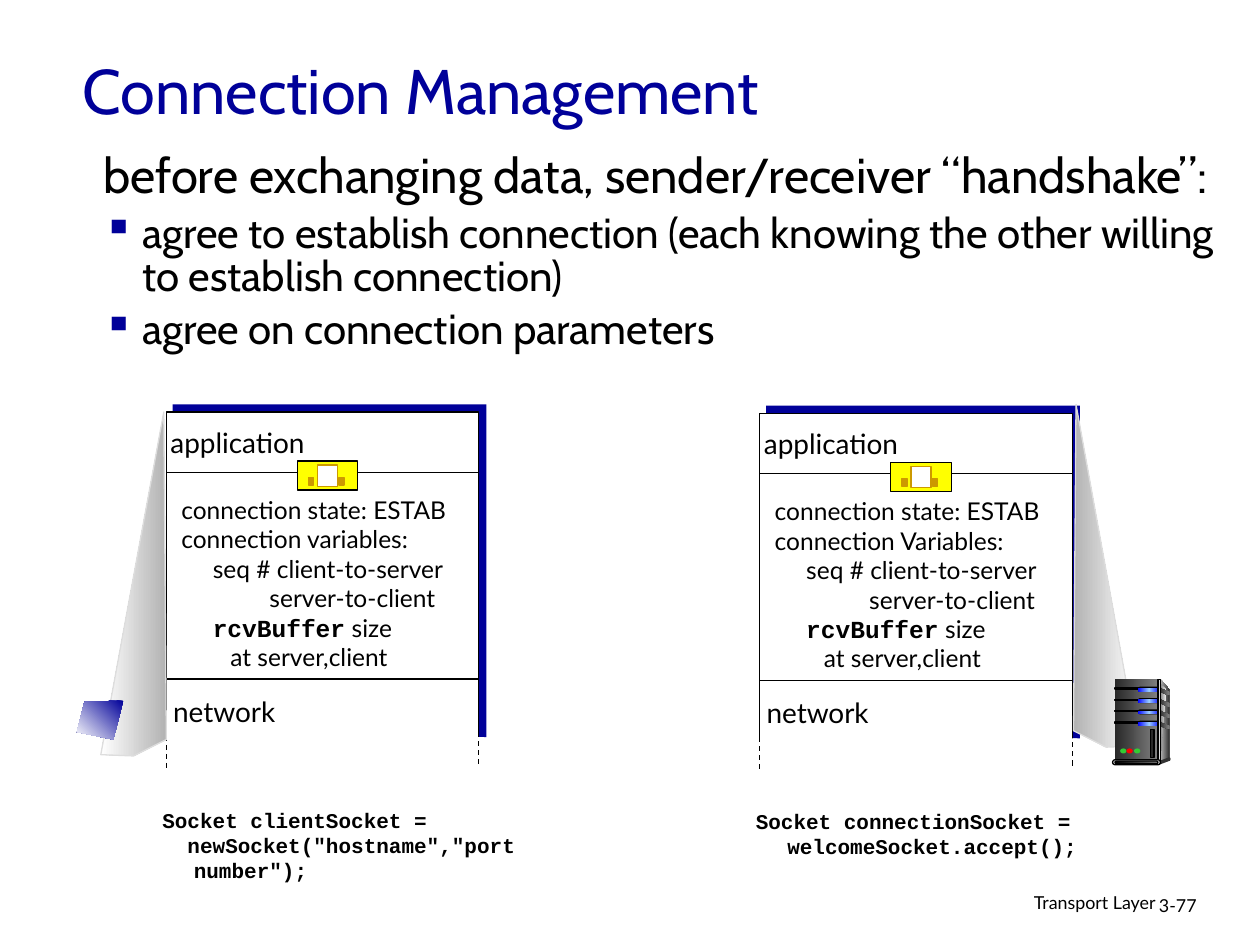
"""Build the Connection Management slide: two hosts holding shared connection state."""
from dataclasses import dataclass

from lxml.etree import SubElement
from pptx import Presentation
from pptx.dml.color import RGBColor
from pptx.enum.dml import MSO_LINE
from pptx.enum.shapes import MSO_CONNECTOR, MSO_SHAPE as Kind
from pptx.enum.text import MSO_ANCHOR as Anchor, PP_ALIGN as Align
from pptx.oxml.ns import qn
from pptx.util import Inches, Pt


@dataclass(frozen=True)
class Theme:
    navy: str = "000099"
    black: str = "000000"
    white: str = "FFFFFF"
    yellow: str = "FFFF00"
    gold: str = "CC9900"
    silver: str = "DDDDDD"
    dark: str = "333333"
    green: str = "33CC33"
    red: str = "FF0000"
    cone: tuple = ("B2B2B2", "FFFFFF")
    screen: tuple = ("000099", "FFFFFF")
    steel: tuple = ("292929", "808080")
    flank: tuple = ("DDDDDD", "333333")
    sheen: tuple = ("808080", "F8F8F8")
    spine: tuple = ("333333", "DDDDDD", "333333")
    glow: tuple = ("0000FF", "99CCFF", "0000FF")
    base: tuple = ("000000", "808080")
    heading: str = "Cabin"
    label: str = "Lato"
    code: str = "Courier New"
    title_size: float = 36
    lead_size: float = 28
    bullet_size: float = 24
    label_size: float = 16
    state_size: float = 14
    code_size: float = 12
    footer_size: float = 10.2
    hairline: float = 0.75


THEME = Theme()
TITLE = "Connection Management"
LEAD = "before exchanging data, sender/receiver “handshake”:"
BULLETS = [
    "agree to establish connection (each knowing the other willing to establish connection)",
    "agree on connection parameters",
]
FOOTER = [((6.1, 7.05, 3.17, 0.31), "Transport Layer", Align.RIGHT),
          ((9.1, 7.07, 0.74, 0.3), "3-77", Align.LEFT)]
HOSTS = [
    dict(origin=(1.32, 3.27), variables="connection variables:", reply_indent=0.7,
         cone=[(0.8, 5.99), (1.3, 3.27), (1.32, 5.87), (1.06, 6)], cone_angle=180,
         code=["Socket clientSocket =", '  newSocket("hostname","port number");']),
    dict(origin=(6.03, 3.28), variables="connection Variables:", reply_indent=0.75,
         cone=[(9.03, 5.92), (8.54, 3.21), (8.52, 5.8), (8.78, 5.93)], cone_angle=0,
         code=["Socket connectionSocket = welcomeSocket.accept();"]),
]
SCREEN = [(0.98, 5.56), (0.67, 5.57), (0.61, 5.81), (0.9, 5.87)]
DOOR = [((1.04, 0.39, 0.48, 0.23), THEME.yellow, THEME.black),
        ((1.2, 0.42, 0.16, 0.17), THEME.white, THEME.gold),
        ((1.37, 0.52, 0.04, 0.06), THEME.gold, THEME.gold),
        ((1.13, 0.52, 0.04, 0.06), THEME.gold, THEME.gold)]
SLOT_TOP, SLOT_STEP, SLOT_COUNT = 5.46, 0.09, 4
SERVER_SIDE = [([(9.21, 5.39), (9.28, 5.47), (9.28, 6.01), (9.19, 6.04)], THEME.flank),
               ([(9.21, 5.43), (9.26, 5.48), (9.23, 5.75), (9.21, 6.02)], THEME.sheen),
               ([(9.2, 6.04), (9.2, 6.07), (9.28, 6.04), (9.28, 6.01)], THEME.dark)]
SERVER_PARTS = [
    (Kind.RECTANGLE, (9.19, 5.39, 0.02, 0.65), THEME.spine, THEME.black),
    (Kind.OVAL, (9.27, 6.01, 0.02, 0.03), THEME.dark, None),
    (Kind.ROUNDED_RECTANGLE, (8.83, 6.03, 0.38, 0.04), THEME.silver, THEME.black),
    (Kind.ROUNDED_RECTANGLE, (8.85, 6.04, 0.34, 0.02), THEME.base, THEME.black),
    (Kind.OVAL, (8.89, 5.94, 0.05, 0.04), THEME.green, None),
    (Kind.OVAL, (8.94, 5.94, 0.05, 0.04), THEME.red, None),
    (Kind.OVAL, (9, 5.94, 0.05, 0.04), THEME.green, None),
    (Kind.RECTANGLE, (9.13, 5.79, 0.03, 0.22), THEME.steel[0], THEME.black),
]


def style(shape, paint, outline=None, angle=0):
    shape.shadow.inherit = False
    if isinstance(paint, tuple):
        shape.fill.gradient()
        shape.fill.gradient_angle = (360 - angle) % 360
        stops = shape._element.spPr.find(".//" + qn("a:gsLst"))
        for stop in list(stops):
            stops.remove(stop)
        for index, color in enumerate(paint):
            stop = SubElement(stops, qn("a:gs"), pos=str(100000 * index // (len(paint) - 1)))
            SubElement(stop, qn("a:srgbClr"), val=color)
    else:
        shape.fill.solid()
        shape.fill.fore_color.rgb = RGBColor.from_string(paint)
    if outline:
        shape.line.color.rgb = RGBColor.from_string(outline)
        shape.line.width = Pt(THEME.hairline)
    else:
        shape.line.fill.background()


def add_shape(shapes, kind, place, paint, outline=None):
    shape = shapes.add_shape(kind, *map(Inches, place))
    if kind == Kind.ROUNDED_RECTANGLE:
        shape.adjustments[0] = 0.5
    style(shape, paint, outline)


def add_outline(shapes, points, paint, outline=None, angle=0):
    start, *rest = [(Inches(x), Inches(y)) for x, y in points]
    builder = shapes.build_freeform(*start)
    builder.add_line_segments(rest, close=True)
    style(builder.convert_to_shape(), paint, outline, angle)


def add_line(shapes, start, end, dashed=False):
    line = shapes.add_connector(MSO_CONNECTOR.STRAIGHT, *map(Inches, start + end))
    line.line.color.rgb = RGBColor.from_string(THEME.black)
    line.line.width = Pt(THEME.hairline)
    if dashed:
        line.line.dash_style = MSO_LINE.DASH
    SubElement(line._element.spPr, qn("a:effectLst"))


def add_text(shapes, place, wrap=True, anchor=Anchor.TOP):
    frame = shapes.add_textbox(*map(Inches, place)).text_frame
    frame.word_wrap = wrap
    frame.vertical_anchor = anchor
    return frame


def set_font(font, face, size, color=THEME.black, bold=False):
    font.name, font.size, font.bold = face, Pt(size), bold
    font.color.rgb = RGBColor.from_string(color)


def add_para(frame, text, face, size, color=THEME.black, bold=False,
             align=Align.LEFT, margin=0, hanging=0, bullet=None):
    para = frame.paragraphs[0]
    if para.runs:
        para = frame.add_paragraph()
    para.alignment = align
    properties = para._p.get_or_add_pPr()
    properties.set("marL", str(Inches(margin)))
    properties.set("indent", str(-Inches(hanging)))
    if bullet:
        SubElement(SubElement(properties, qn("a:buClr")), qn("a:srgbClr"), val=THEME.navy)
        SubElement(properties, qn("a:buChar"), char=bullet)
    para.add_run().text = text
    set_font(para.font, face, size, color, bold)
    return para


def add_host(page, host):
    shapes, (left, top) = page.shapes, host["origin"]
    right = left + 2.48
    add_shape(shapes, Kind.RECTANGLE, (left + 0.05, top - 0.06, 2.49, 2.64), THEME.navy)
    add_shape(shapes, Kind.RECTANGLE, (left, top, 2.48, 2.7), THEME.white, THEME.black)
    for drop in (0.48, 2.12):
        add_line(shapes, (left, top + drop), (right, top + drop))
    state = add_text(shapes, (left + 0.02, top + 0.61, 2.55, 1.74))
    for text, margin in [("connection state: ESTAB", 0), (host["variables"], 0),
                         ("seq # client-to-server", 0.25),
                         ("server-to-client", host["reply_indent"]),
                         ("rcvBuffer", 0.25), ("at server,client", 0.39)]:
        para = add_para(state, text, THEME.label, THEME.state_size, margin=margin)
        if text == "rcvBuffer":
            set_font(para.runs[0].font, THEME.code, THEME.state_size, bold=True)
            span = para.add_run()
            span.text = " size"
            set_font(span.font, THEME.label, THEME.state_size)
    door = shapes.add_group_shape().shapes
    for (x, y, width, height), paint, outline in DOOR:
        add_shape(door, Kind.RECTANGLE, (left + x, top + y, width, height), paint, outline)
    for text, x, y, width in [("application", -0.11, 0.06, 1.35), ("network", -0.07, 2.19, 1.06)]:
        label = add_text(shapes, (left + x, top + y, width, 0.37), wrap=False)
        add_para(label, text, THEME.label, THEME.label_size, align=Align.CENTER)
    add_shape(shapes, Kind.RECTANGLE, (left - 0.03, top + 2.58, 2.55, 0.2), THEME.white)
    for x, drop in ((left, 2.57), (right, 2.54)):
        add_line(shapes, (x, top + drop), (x, top + drop + 0.26), dashed=True)
    add_outline(shapes, host["cone"], THEME.cone, THEME.silver, host["cone_angle"])
    code = add_text(shapes, (left - 0.13, top + 3.09, 3.16, 0.7))
    for text in host["code"]:
        add_para(code, text, THEME.code, THEME.code_size, bold=True, margin=0.25, hanging=0.25)


def add_server(page):
    shapes = page.shapes.add_group_shape().shapes
    add_shape(shapes, Kind.RECTANGLE, (8.85, 5.39, 0.34, 0.65), THEME.steel)
    for points, paint in SERVER_SIDE:
        add_outline(shapes, points, paint)
    for index in range(SLOT_COUNT):
        y = SLOT_TOP + index * SLOT_STEP
        add_shape(shapes, Kind.RECTANGLE, (8.85, y, 0.19, 0.01), THEME.black, THEME.black)
        add_shape(shapes, Kind.ROUNDED_RECTANGLE, (9.03, y - 0.01, 0.19, 0.04), THEME.black)
        add_shape(shapes, Kind.ROUNDED_RECTANGLE, (9.03, y, 0.18, 0.03), THEME.glow)
        vent = [(9.2, y), (9.28, y + 0.03), (9.28, y + 0.06), (9.2, y + 0.03)]
        add_outline(shapes, vent, THEME.steel)
    for part in SERVER_PARTS:
        add_shape(shapes, *part)


def main():
    deck = Presentation()
    deck.slide_width, deck.slide_height = Inches(10), Inches(7.5)
    page = deck.slides.add_slide(deck.slide_layouts[6])
    for place, text, align in FOOTER:
        para = add_para(add_text(page.shapes, place), text, THEME.label, THEME.footer_size, align=align)
        para.line_spacing = 0.9
    title = add_text(page.shapes, (0.56, 0.21, 8.5, 1), anchor=Anchor.MIDDLE)
    add_para(title, TITLE, THEME.heading, THEME.title_size, THEME.navy)
    body = add_text(page.shapes, (0.72, 1.17, 9.12, 2.39))
    lead = add_para(body, LEAD, THEME.heading, THEME.lead_size, margin=0.31, hanging=0.31)
    lead.line_spacing = 0.85
    for text in BULLETS:
        para = add_para(body, text, THEME.heading, THEME.bullet_size,
                        margin=0.31, hanging=0.31, bullet="▪")
        para.line_spacing, para.space_before = 0.85, Pt(6)
    for host in HOSTS:
        add_host(page, host)
    add_outline(page.shapes, SCREEN, THEME.screen, angle=135)
    add_server(page)
    deck.save("out.pptx")


if __name__ == "__main__":
    main()
